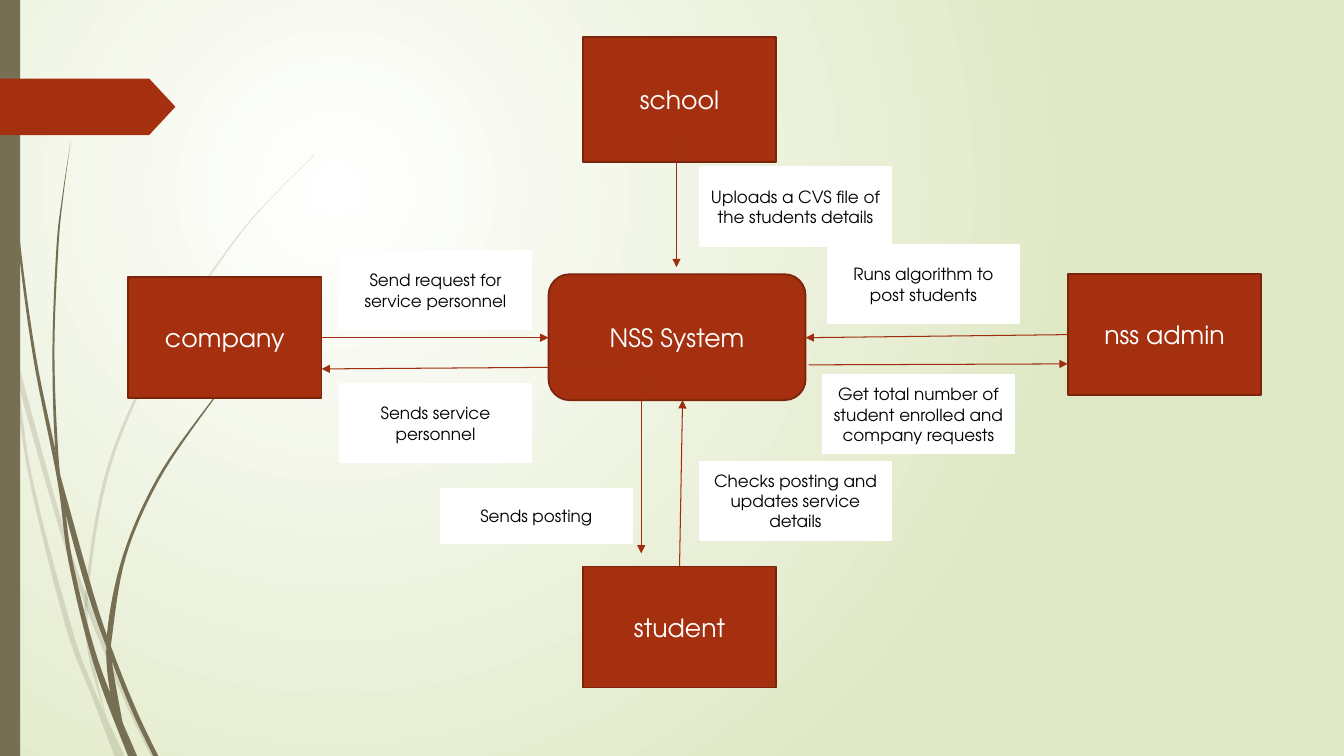
import lxml.etree
import pptx
import pptx.dml.color
import pptx.enum.dml
import pptx.enum.shapes
import pptx.enum.text
import pptx.oxml.ns
import pptx.util

# Content: lengths in px, 100 px to the inch
PX = 9144
PAGE_SIZE = (1333, 750)
THEME = {
    "font": "TeX Gyre Adventor", "box_size": 18, "label_size": 12,
    "glow": "FFFFFF", "back": "DFE8C4", "olive": "766F54",
    "red": "A53010", "edge": "7A240C", "arrow": "9E2E0F",
    "white": "FFFFFF", "black": "000000",
    "box_line": 1.25, "arrow_line": 0.75, "faint": 20, "solid": 100,
}

# Grass blades: strength, left edge and right edge, both from top to bottom
BLADES = [
    ("faint", [(0, 299), (11, 350), (28, 470), (65, 621), (92, 693), (114, 751)],
     [(0, 282), (14, 345), (31, 469), (70, 619), (93, 683), (124, 751)]),
    ("faint", [(14, 345), (17, 376), (58, 522), (84, 599), (123, 694), (150, 751)],
     [(14, 345), (62, 520), (92, 607), (127, 692), (155, 751)]),
    ("faint", [(312, 153), (268, 197), (228, 244), (158, 348), (107, 461),
               (85, 584), (87, 646), (105, 711)],
     [(312, 154), (268, 198), (229, 245), (160, 349), (110, 462),
      (88, 584), (91, 646), (105, 711)]),
    ("solid", [(3, 0), (7, 110), (17, 233), (33, 355), (57, 477), (68, 557),
               (93, 659), (127, 750)],
     [(4, 0), (8, 109), (19, 232), (36, 355), (60, 472), (72, 556),
      (98, 657), (136, 750)]),
    ("solid", [(60, 472), (64, 505), (88, 592), (111, 656), (132, 708), (152, 750)],
     [(60, 472), (93, 590), (113, 649), (136, 706), (157, 750)]),
    ("solid", [(260, 344), (231, 373), (204, 405), (156, 474), (122, 551),
               (106, 631), (110, 691), (122, 719)],
     [(261, 344), (231, 374), (205, 406), (158, 476), (125, 552),
      (111, 633), (111, 656), (122, 719)]),
    ("solid", [(70, 141), (62, 193), (56, 245), (52, 349), (55, 449), (64, 505)],
     [(70, 141), (63, 193), (58, 245), (54, 349), (58, 453), (64, 505)]),
]

SIDE_BAR = (0, 0, 20, 750)
TAG = (0, 78, 174, 56)
TAG_POINT = 26

SYSTEM = ("NSS System", 544, 272, 255, 125)
BOX_WIDTH = 192
ACTORS = [
    ("nss admin", 1059, 272, 120),
    ("student", 578, 562, 120),
    ("company", 127, 275, 120),
    ("school", 578, 37, 124),
]
ARROWS = [
    ((1059, 332), (799, 335)),
    ((671, 140), (671, 265)),
    ((319, 335), (544, 335)),
    ((674, 562), (677, 397)),
    ((636, 376), (636, 549)),
    ((609, 364), (319, 366)),
    ((802, 362), (1059, 361)),
]
LABEL_WIDTH = 190
LABELS = [
    ("Send request for service personnel", 337, 249, 78),
    ("Sends service personnel", 337, 381, 78),
    ("Checks posting and updates service details", 694, 458, 78),
    ("Sends posting", 437, 485, 54),
    ("Get total number of student enrolled and company requests", 816, 372, 78),
    ("Runs algorithm to post students", 821, 243, 78),
    ("Uploads a CVS file of the students details", 694, 166, 78),
]

SHAPES = pptx.enum.shapes.MSO_SHAPE
CURVE_STEPS = 8


def color(name):
    return pptx.dml.color.RGBColor.from_string(THEME[name])


def add_xml(parent, tag, **attributes):
    return lxml.etree.SubElement(parent, pptx.oxml.ns.qn(tag), **attributes)


def paint(shape, fill, line=None):
    shape.shadow.inherit = False
    shape.fill.solid()
    shape.fill.fore_color.rgb = color(fill)
    if line:
        shape.line.color.rgb = color(line)
        shape.line.width = pptx.util.Pt(THEME["box_line"])
    else:
        shape.line.fill.background()


def add_block(page, kind, frame, fill, line=None):
    shape = page.shapes.add_shape(kind, *[value * PX for value in frame])
    paint(shape, fill, line)
    return shape


def write(shape, text, size, ink):
    frame = shape.text_frame
    frame.word_wrap = True
    frame.vertical_anchor = pptx.enum.text.MSO_ANCHOR.MIDDLE
    frame.text = text
    para = frame.paragraphs[0]
    para.alignment = pptx.enum.text.PP_ALIGN.CENTER
    font = para.runs[0].font
    font.name = THEME["font"]
    font.size = pptx.util.Pt(THEME[size])
    font.color.rgb = color(ink)


def smooth(points):
    """Sample a Catmull-Rom curve through the points, in EMU."""
    padded = [points[0], *points, points[-1]]
    curve = []
    for a, b, c, d in zip(padded, padded[1:], padded[2:], padded[3:]):
        for step in range(CURVE_STEPS):
            t = step / CURVE_STEPS
            curve.append(tuple(
                round(PX / 2 * (2 * q + (r - p) * t
                                + (2 * p - 5 * q + 4 * r - s) * t ** 2
                                + (3 * q - p - 3 * r + s) * t ** 3))
                for p, q, r, s in zip(a, b, c, d)))
    return curve + [tuple(value * PX for value in points[-1])]


def add_blade(page, strength, left, right):
    outline = smooth(left) + smooth(right)[::-1]
    builder = page.shapes.build_freeform(*outline[0], scale=1.0)
    builder.add_line_segments(outline[1:], close=True)
    blade = builder.convert_to_shape()
    paint(blade, "olive")
    tint = next(blade.element.spPr.iter(pptx.oxml.ns.qn("a:srgbClr")))
    add_xml(tint, "a:alpha", val=str(THEME[strength] * 1000))


def add_arrow(page, start, end):
    ends = [value * PX for value in start + end]
    arrow = page.shapes.add_connector(pptx.enum.shapes.MSO_CONNECTOR.STRAIGHT, *ends)
    arrow.line.color.rgb = color("arrow")
    arrow.line.width = pptx.util.Pt(THEME["arrow_line"])
    add_xml(arrow.line._get_or_add_ln(), "a:tailEnd", type="triangle")
    add_xml(arrow.element.spPr, "a:effectLst")


def add_background(page):
    fill = page.background.fill
    fill.gradient()
    for stop, name in zip(fill.gradient_stops, ("glow", "back")):
        stop.color.rgb = color(name)
    gradient = next(page.element.iter(pptx.oxml.ns.qn("a:gradFill")))
    gradient.remove(gradient.find(pptx.oxml.ns.qn("a:lin")))
    circle = add_xml(gradient, "a:path", path="circle")
    add_xml(circle, "a:fillToRect", l="50000", t="50000", r="100000", b="100000")


def main():
    deck = pptx.Presentation()
    deck.slide_width, deck.slide_height = [value * PX for value in PAGE_SIZE]
    page = deck.slides.add_slide(deck.slide_layouts[6])

    # Backdrop
    add_background(page)
    for blade in BLADES:
        add_blade(page, *blade)
    add_block(page, SHAPES.RECTANGLE, SIDE_BAR, "olive")
    tag = add_block(page, SHAPES.PENTAGON, TAG, "red")
    tag.adjustments[0] = TAG_POINT / TAG[3]

    # System and the actors around it
    name, *frame = SYSTEM
    system = add_block(page, SHAPES.ROUNDED_RECTANGLE, frame, "red", "edge")
    write(system, name, "box_size", "white")
    for name, left, top, height in ACTORS:
        frame = (left, top, BOX_WIDTH, height)
        box = add_block(page, SHAPES.RECTANGLE, frame, "red", "edge")
        write(box, name, "box_size", "white")

    # Flows and their labels
    for start, end in ARROWS:
        add_arrow(page, start, end)
    for text, left, top, height in LABELS:
        frame = (left, top, LABEL_WIDTH, height)
        label = add_block(page, SHAPES.RECTANGLE, frame, "white", "white")
        write(label, text, "label_size", "black")

    deck.save("out.pptx")


if __name__ == "__main__":
    main()
